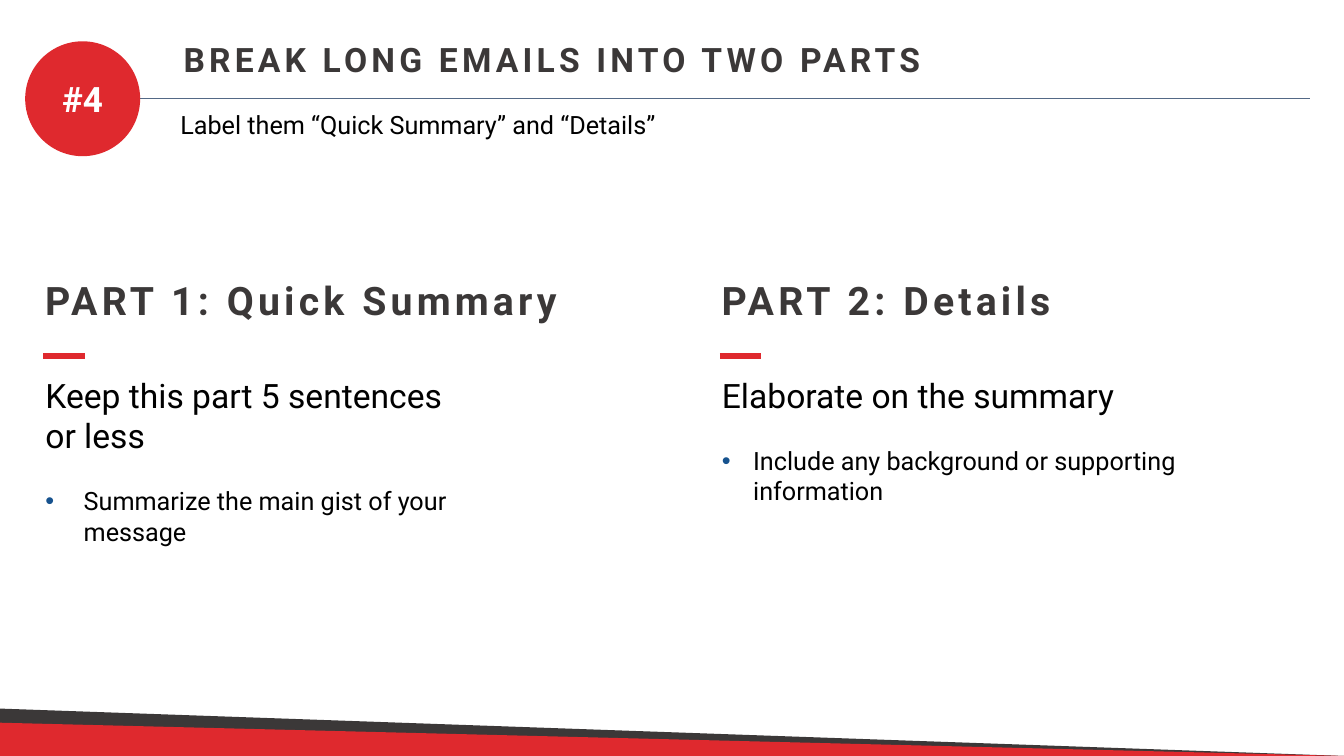
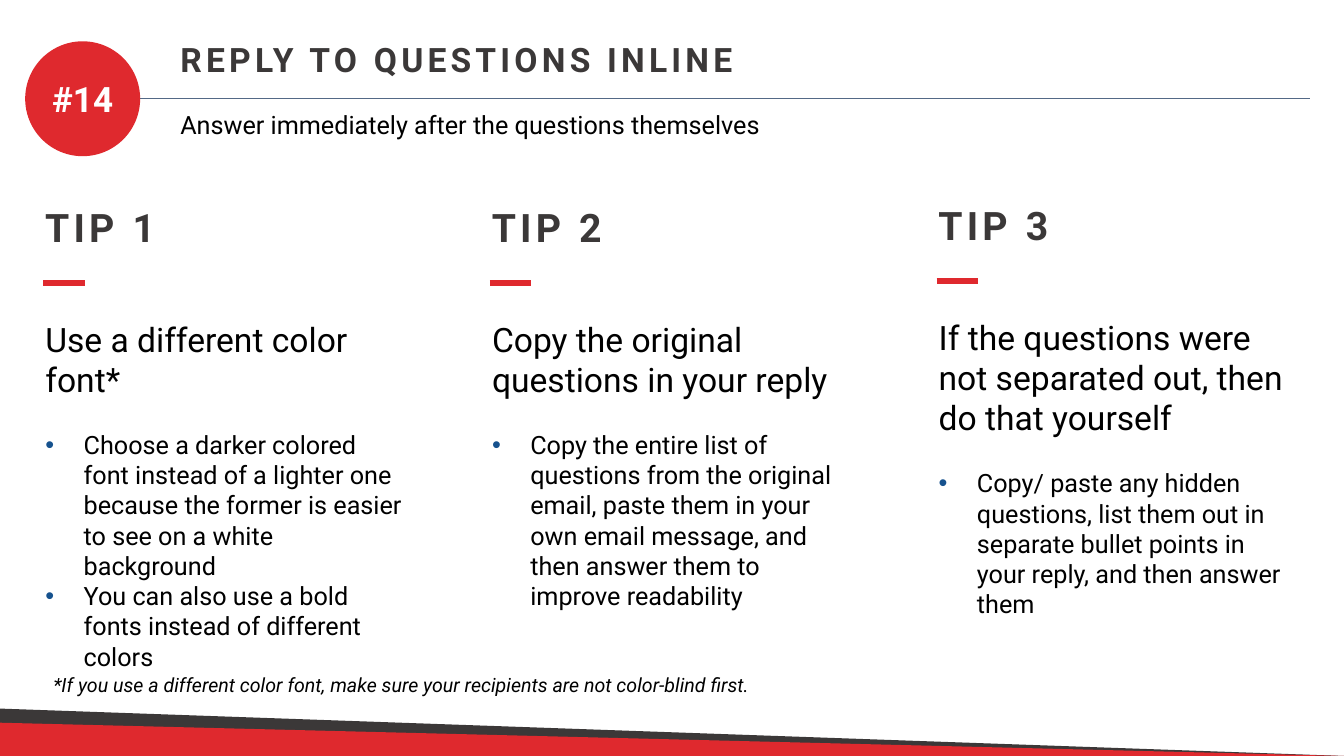
from pptx import Presentation
from pptx.dml.color import RGBColor
from pptx.enum.shapes import MSO_CONNECTOR as Connector, MSO_SHAPE as Shape
from pptx.enum.text import MSO_ANCHOR as Anchor, MSO_AUTO_SIZE as AutoSize, PP_ALIGN as Align
from pptx.oxml.ns import qn
from pptx.util import Inches, Pt
from lxml.etree import SubElement

RED = RGBColor(0xDF, 0x29, 0x2E)
CHARCOAL = RGBColor(0x3B, 0x38, 0x38)
BLACK = RGBColor(0, 0, 0)
WHITE = RGBColor(0xFF, 0xFF, 0xFF)
SLATE = RGBColor(0x53, 0x69, 0x86)
BLUE = RGBColor(0x16, 0x52, 0x8E)
FONT = "Roboto"
WIDTH, HEIGHT = 13.33, 7.5
COMPARISON_LAYOUT = 4


class EmailTips:
    def __init__(self):
        self.deck = Presentation()
        self.deck.slide_width = Inches(WIDTH)
        self.deck.slide_height = Inches(HEIGHT)
        self.page = None
        self.bodies = []

    def start(self, number, title, subtitle, title_left=1.69):
        layout = self.deck.slide_layouts[COMPARISON_LAYOUT]
        self.page = self.deck.slides.add_slide(layout)
        self.bodies = [box for box in self.page.placeholders
                       if box.placeholder_format.idx != 0]
        self.place(self.page.shapes.title, title_left, 0.34, 11, 0.5)
        self.set_text(self.page.shapes.title, title, 24, CHARCOAL, bold=True, spacing=3)
        self.line(0.35, 12.99, 0.98, SLATE, 0.5)
        self.band(0.47, CHARCOAL)
        self.band(0.33, RED)
        badge = self.shape(Shape.OVAL, 0.25, 0.41, 1.14, 1.14, RED)
        self.set_text(badge, number, 25, WHITE, bold=True)
        badge.text_frame.word_wrap = False
        badge.text_frame.vertical_anchor = Anchor.MIDDLE
        badge.text_frame.paragraphs[0].alignment = Align.CENTER
        self.text(subtitle, 1.69, 1.04, 10.2, 0.4, 18)

    def finish(self):
        for box in self.bodies:
            box.element.getparent().remove(box.element)

    def place(self, box, left, top, width, height):
        box.left, box.top = Inches(left), Inches(top)
        box.width, box.height = Inches(width), Inches(height)

    def style(self, para, size, color=BLACK, bold=False, italic=False, spacing=0):
        para.alignment = Align.LEFT
        para.space_before = Pt(0)
        for span in para.runs:
            font = span.font
            font.name, font.size = FONT, Pt(size)
            font.bold, font.italic = bold, italic
            font.color.rgb = color
            if spacing:
                span._r.get_or_add_rPr().set("spc", str(spacing * 100))

    def set_text(self, box, content, size, color=BLACK, **looks):
        frame = box.text_frame
        frame.text = content
        frame.word_wrap = True
        frame.auto_size = AutoSize.NONE
        frame.vertical_anchor = Anchor.TOP
        self.style(frame.paragraphs[0], size, color, **looks)

    def text(self, content, left, top, width, height, size, color=BLACK, **looks):
        box = self.page.shapes.add_textbox(
            Inches(left), Inches(top), Inches(width), Inches(height))
        self.set_text(box, content, size, color, **looks)

    def shape(self, kind, left, top, width, height, color):
        shape = self.page.shapes.add_shape(
            kind, Inches(left), Inches(top), Inches(width), Inches(height))
        shape.shadow.inherit = False
        shape.fill.solid()
        shape.fill.fore_color.rgb = color
        shape.line.fill.background()
        return shape

    def band(self, height, color):
        self.shape(Shape.RIGHT_TRIANGLE, 0, HEIGHT - height, WIDTH, height, color)

    def line(self, start, end, top, color, weight):
        rule = self.page.shapes.add_connector(
            Connector.STRAIGHT, Inches(start), Inches(top), Inches(end), Inches(top))
        rule.line.color.rgb = color
        rule.line.width = Pt(weight)
        SubElement(rule._element.spPr, qn("a:effectLst"))

    def indent(self, para, hanging, bullet=None):
        properties = para._p.get_or_add_pPr()
        properties.set("marL", str(Inches(hanging)))
        properties.set("indent", str(-Inches(hanging)))
        if bullet is None:
            SubElement(properties, qn("a:buNone"))
            return
        color = SubElement(properties, qn("a:buClr"))
        SubElement(color, qn("a:srgbClr"), val=str(BLUE))
        SubElement(properties, qn("a:buFont"), typeface="Arial")
        SubElement(properties, qn("a:buChar"), char=bullet)

    def column(self, heading, lead, points, left, top, width,
               body_offset=1.14, hanging=0.38):
        self.text(heading, left, top, 5.8, 0.57, 28, CHARCOAL, bold=True, spacing=3)
        self.line(left + 0.08, left + 0.49, top + 0.84, RED, 4.5)
        body = self.bodies.pop(0)
        self.place(body, left, top + body_offset, width, 3.03)
        self.set_text(body, lead, 24)
        self.indent(body.text_frame.paragraphs[0], 0)
        for index, point in enumerate(points):
            para = body.text_frame.add_paragraph()
            para.text = point
            self.style(para, 18)
            if index == 0:
                para.space_before = Pt(21.5)
            self.indent(para, hanging, "•")


def main():
    tips = EmailTips()

    tips.start("#4", "BREAK LONG EMAILS INTO TWO PARTS",
               "Label them “Quick Summary” and “Details”", title_left=1.72)
    tips.column("PART 1: Quick Summary", "Keep this part 5 sentences or less",
                ["Summarize the main gist of your message"],
                0.35, 2.69, 4.23, body_offset=0.98)
    tips.column("PART 2: Details", "Elaborate on the summary",
                ["Include any background or supporting information"],
                7.06, 2.69, 5.79, body_offset=0.98, hanging=0.31)
    tips.finish()

    tips.start("#14", "REPLY TO QUESTIONS INLINE",
               "Answer immediately after the questions themselves")
    columns = [
        ("TIP 1", 1.97, "Use a different color font*",
         ["Choose a darker colored font instead of a lighter one because "
          "the former is easier to see on a white background",
          "You can also use a bold fonts instead of different colors"]),
        ("TIP 2", 1.97, "Copy the original questions in your reply",
         ["Copy the entire list of questions from the original email, paste them "
          "in your own email message, and then answer them to improve readability"]),
        ("TIP 3", 1.95, "If the questions were not separated out, then do that yourself",
         ["Copy/ paste any hidden questions, list them out in separate bullet "
          "points in your reply, and then answer them"]),
    ]
    for index, (heading, top, lead, points) in enumerate(columns):
        tips.column(heading, lead, points, 0.35 + index * 4.43, top, 3.78)
    tips.text("*If you use a different color font, make sure your recipients "
              "are not color-blind first.", 0.43, 6.63, 7.35, 0.34, 14, italic=True)
    tips.finish()

    tips.deck.save("out.pptx")


if __name__ == "__main__":
    main()
